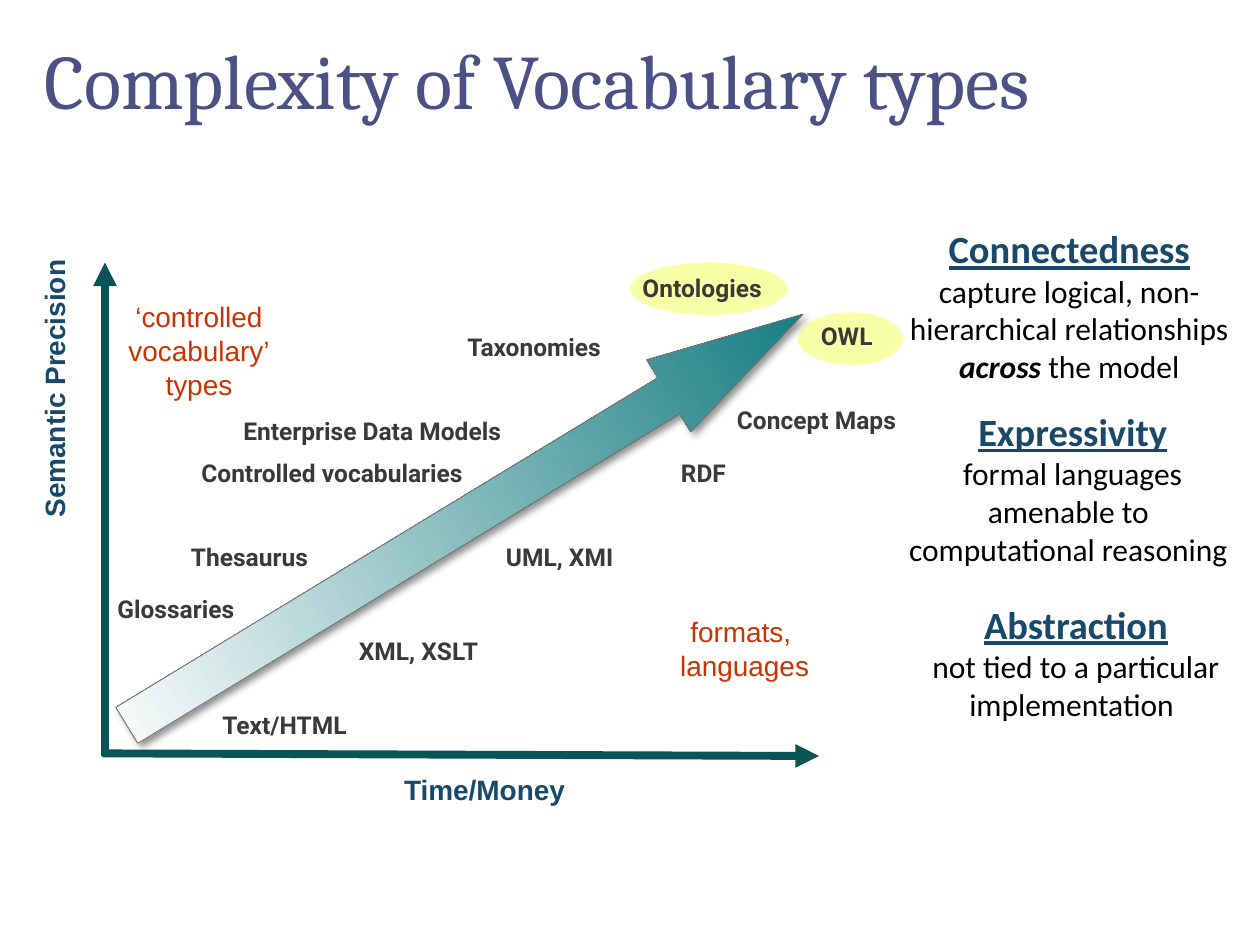
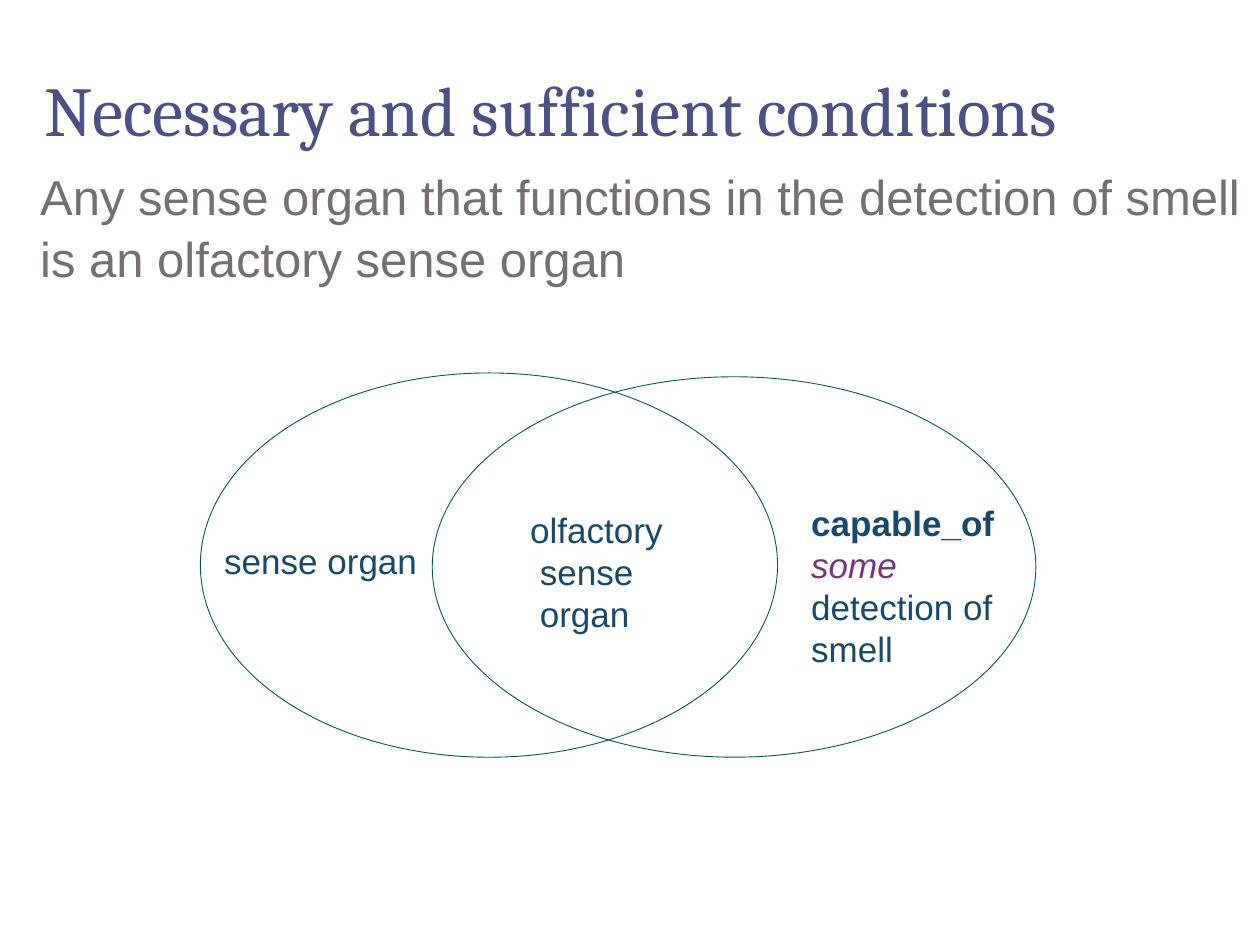
from dataclasses import dataclass, replace
from typing import Optional

import pptx
import pptx.dml.color
import pptx.enum.shapes
import pptx.enum.text
import pptx.oxml
import pptx.oxml.ns
import pptx.util
from lxml import etree

Pt = pptx.util.Pt
ALIGN = pptx.enum.text.PP_ALIGN
SHAPE = pptx.enum.shapes.MSO_SHAPE

COLOURS = {
    "title": "4B5185",
    "navy": "18496B",
    "teal": "095457",
    "arrow": "0D787D",
    "red": "CC3300",
    "purple": "75367A",
    "grey": "757070",
    "label": "3A3838",
    "highlight": "F7FFA7",
    "black": "000000",
    "white": "FFFFFF",
}


@dataclass(frozen=True)
class Style:
    font: str
    size: float
    colour: str
    bold: bool = False
    italic: bool = False
    underline: bool = False


@dataclass(frozen=True)
class Span:
    text: str
    style: Style


@dataclass(frozen=True)
class Line:
    spans: tuple[Span, ...]
    align: ALIGN = ALIGN.LEFT
    margin: float = 0
    indent: float = 0
    spacing: Optional[float] = None


@dataclass(frozen=True)
class Box:
    left: float
    top: float
    width: float
    height: float


@dataclass(frozen=True)
class TermLabel:
    text: str
    left: float
    top: float
    width: float


@dataclass(frozen=True)
class Benefit:
    box: Box
    heading: str
    spans: tuple[Span, ...]
    indent: float = 0


AXIS = Style("Arial", 16, "navy", bold=True)
GROUP = Style("Arial", 16, "red")
TERM = Style("Roboto", 14, "label", bold=True)
HEADING = Style("Calibri", 22, "navy", bold=True, underline=True)
BODY = Style("Calibri", 18, "black")
SET = Style("Arial", 20, "navy")
STATEMENT = Style("Arial", 28, "grey")
TERM_HEIGHT = 24.5

TERMS = (
    TermLabel("Glossaries", 60, 336, 87),
    TermLabel("Thesaurus", 102, 306, 84),
    TermLabel("Controlled vocabularies", 108, 258, 174),
    TermLabel("Enterprise Data Models", 132, 234, 175),
    TermLabel("Taxonomies", 260, 186, 94),
    TermLabel("Ontologies", 360, 152.5, 90),
    TermLabel("Text/HTML", 120, 402, 97),
    TermLabel("XML, XSLT", 198, 360, 89),
    TermLabel("UML, XMI", 282, 306, 82),
    TermLabel("RDF", 382, 258, 44),
    TermLabel("Concept Maps", 414, 228, 112),
    TermLabel("OWL", 462, 180, 45),
)

BENEFITS = (
    Benefit(Box(509, 125.3, 204, 99.4), "Connectedness", (
        Span("capture logical, non-hierarchical relationships ", BODY),
        Span("across", replace(BODY, bold=True, italic=True)),
        Span(" the model", BODY),
    )),
    Benefit(Box(510.5, 229.7, 200, 99.4), "Expressivity",
            (Span("formal languages amenable to computational reasoning", BODY),), 5),
    Benefit(Box(498.2, 339.8, 228.3, 77.8), "Abstraction",
            (Span("not tied to a particular implementation", BODY),), 5),
)


def rgb(name: str) -> pptx.dml.color.RGBColor:
    return pptx.dml.color.RGBColor.from_string(COLOURS[name])


def points(box: Box) -> tuple:
    return Pt(box.left), Pt(box.top), Pt(box.width), Pt(box.height)


def format_run(run, style: Style) -> None:
    font = run.font
    font.name, font.size = style.font, Pt(style.size)
    font.bold, font.italic, font.underline = style.bold, style.italic, style.underline
    font.color.rgb = rgb(style.colour)


def plain_lines(texts: tuple[str, ...], style: Style, align: ALIGN = ALIGN.LEFT) -> tuple[Line, ...]:
    return tuple(Line((Span(text, style),), align) for text in texts)


def add_text(slide, box: Box, lines: tuple[Line, ...], wrap: bool = True,
             fill: Optional[str] = None, rotation: float = 0):
    shape = slide.shapes.add_textbox(*points(box))
    shape.rotation = rotation
    if fill:
        shape.fill.solid()
        shape.fill.fore_color.rgb = rgb(fill)
    frame = shape.text_frame
    frame.word_wrap = wrap
    frame.auto_size = pptx.enum.text.MSO_AUTO_SIZE.SHAPE_TO_FIT_TEXT
    for index, line in enumerate(lines):
        paragraph = frame.add_paragraph() if index else frame.paragraphs[0]
        paragraph.alignment = line.align
        paragraph.line_spacing = line.spacing
        properties = paragraph._p.get_or_add_pPr()
        properties.set("marL", str(int(Pt(line.margin))))
        properties.set("indent", str(int(Pt(line.indent))))
        for span in line.spans:
            run = paragraph.add_run()
            run.text = span.text
            format_run(run, span.style)
    return shape


def add_ellipse(slide, box: Box, fill: Optional[str] = None, outline: Optional[str] = None) -> None:
    shape = slide.shapes.add_shape(SHAPE.OVAL, *points(box))
    shape.shadow.inherit = False
    if fill:
        shape.fill.solid()
        shape.fill.fore_color.rgb = rgb(fill)
    else:
        shape.fill.background()
    if outline:
        shape.line.color.rgb = rgb(outline)
        shape.line.width = Pt(0.5)
    else:
        shape.line.fill.background()


def add_axis(slide, start: tuple[float, float], end: tuple[float, float]) -> None:
    axis = slide.shapes.add_connector(
        pptx.enum.shapes.MSO_CONNECTOR.STRAIGHT, *map(Pt, start + end))
    axis.line.color.rgb = rgb("teal")
    axis.line.width = Pt(4.5)
    head = etree.SubElement(axis.line._get_or_add_ln(), pptx.oxml.ns.qn("a:tailEnd"))
    head.set("type", "triangle")
    etree.SubElement(axis._element.spPr, pptx.oxml.ns.qn("a:effectLst"))


def add_growth_arrow(slide) -> None:
    arrow = slide.shapes.add_shape(SHAPE.RIGHT_ARROW, *points(Box(39.6, 272.9, 452.2, 48.2)))
    arrow.rotation = 328.7
    arrow.adjustments[0], arrow.adjustments[1] = 0.5, 1.864
    arrow.fill.gradient()
    arrow.fill.gradient_angle = 180
    for stop, colour in zip(arrow.fill.gradient_stops, ("arrow", "white")):
        stop.color.rgb = rgb(colour)
    arrow.line.color.rgb = rgb("grey")
    arrow.line.width = Pt(0.5)
    arrow._element.spPr.append(pptx.oxml.parse_xml(
        f'<a:effectLst {pptx.oxml.ns.nsdecls("a")}>'
        f'<a:outerShdw blurRad="{int(Pt(4))}" dist="{int(Pt(3))}" dir="2700000" '
        f'algn="tl" rotWithShape="0"><a:srgbClr val="{COLOURS["black"]}">'
        '<a:alpha val="43000"/></a:srgbClr></a:outerShdw></a:effectLst>'))


def add_titled_slide(presentation, title: str, box: Box, size: float):
    slide = presentation.slides.add_slide(presentation.slide_layouts.get_by_name("Title Only"))
    shape = slide.shapes.title
    shape.left, shape.top, shape.width, shape.height = points(box)
    frame = shape.text_frame
    frame.text = title
    frame.word_wrap = True
    frame.auto_size = pptx.enum.text.MSO_AUTO_SIZE.NONE
    frame.vertical_anchor = pptx.enum.text.MSO_ANCHOR.MIDDLE
    paragraph = frame.paragraphs[0]
    paragraph.alignment = ALIGN.LEFT
    paragraph.line_spacing = 0.9
    format_run(paragraph.runs[0], Style("Cambria", size, "title"))
    return slide


def build_complexity_slide(presentation) -> None:
    slide = add_titled_slide(presentation, "Complexity of Vocabulary types",
                             Box(18, 12.2, 684.7, 72), 44)
    # Highlights behind the richest types
    for box in (Box(456, 178.5, 60, 30), Box(360, 150, 90, 30)):
        add_ellipse(slide, box, fill="highlight")

    # Axes and their names
    add_text(slide, Box(-71.3, 208.8, 204.5, 26.6),
             plain_lines(("Semantic Precision",), AXIS, ALIGN.CENTER), fill="white", rotation=270)
    add_text(slide, Box(221.8, 437.8, 110.2, 26.6),
             plain_lines(("Time/Money",), AXIS, ALIGN.CENTER), wrap=False, fill="white")
    add_axis(slide, (60, 432), (60, 150))
    add_axis(slide, (58.5, 430.5), (468, 432))
    add_growth_arrow(slide)

    # Terms on both sides of the arrow
    for term in TERMS:
        add_text(slide, Box(term.left, term.top, term.width, TERM_HEIGHT),
                 plain_lines((term.text,), TERM), wrap=False)
    add_text(slide, Box(48.2, 167.8, 131, 65.5),
             plain_lines(("‘controlled vocabulary’", "types"), GROUP, ALIGN.CENTER))
    add_text(slide, Box(360, 347.8, 131, 46),
             plain_lines(("formats, ", "languages"), GROUP, ALIGN.CENTER))

    # Benefits column
    for benefit in BENEFITS:
        add_text(slide, benefit.box, tuple(
            Line(spans, ALIGN.CENTER, indent=benefit.indent)
            for spans in ((Span(benefit.heading, HEADING),), benefit.spans)))


def build_conditions_slide(presentation) -> None:
    slide = add_titled_slide(presentation, "Necessary and sufficient conditions",
                             Box(18, 23.8, 671.8, 82.8), 40)
    # Overlapping sets
    for box in (Box(114.5, 213.1, 329.8, 219.6), Box(247, 215.3, 344.9, 217.4)):
        add_ellipse(slide, box, outline="teal")

    # Set names
    add_text(slide, Box(121, 304.6, 144.7, 31.7), plain_lines(("sense organ",), SET))
    add_text(slide, Box(456.5, 283, 132.5, 104.4), (Line((
        Span("capable_of ", replace(SET, bold=True)),
        Span("some", replace(SET, colour="purple", italic=True)),
        Span(" detection of smell", SET),
    )),))
    first, *others = plain_lines(("olfactory", "sense", "organ"), SET)
    add_text(slide, Box(295.9, 287.3, 111.6, 80),
             (first, *(replace(line, margin=5.5) for line in others)))

    # Statement under the title
    add_text(slide, Box(2.9, 90, 717.1, 74.9), (Line(
        (Span("Any sense organ that functions in the detection of smell"
              " is an olfactory sense organ", STATEMENT),),
        margin=13, spacing=1.05),))


def main() -> None:
    presentation = pptx.Presentation()
    presentation.slide_width, presentation.slide_height = Pt(720), Pt(540)
    build_complexity_slide(presentation)
    build_conditions_slide(presentation)
    presentation.save("out.pptx")


if __name__ == "__main__":
    main()
